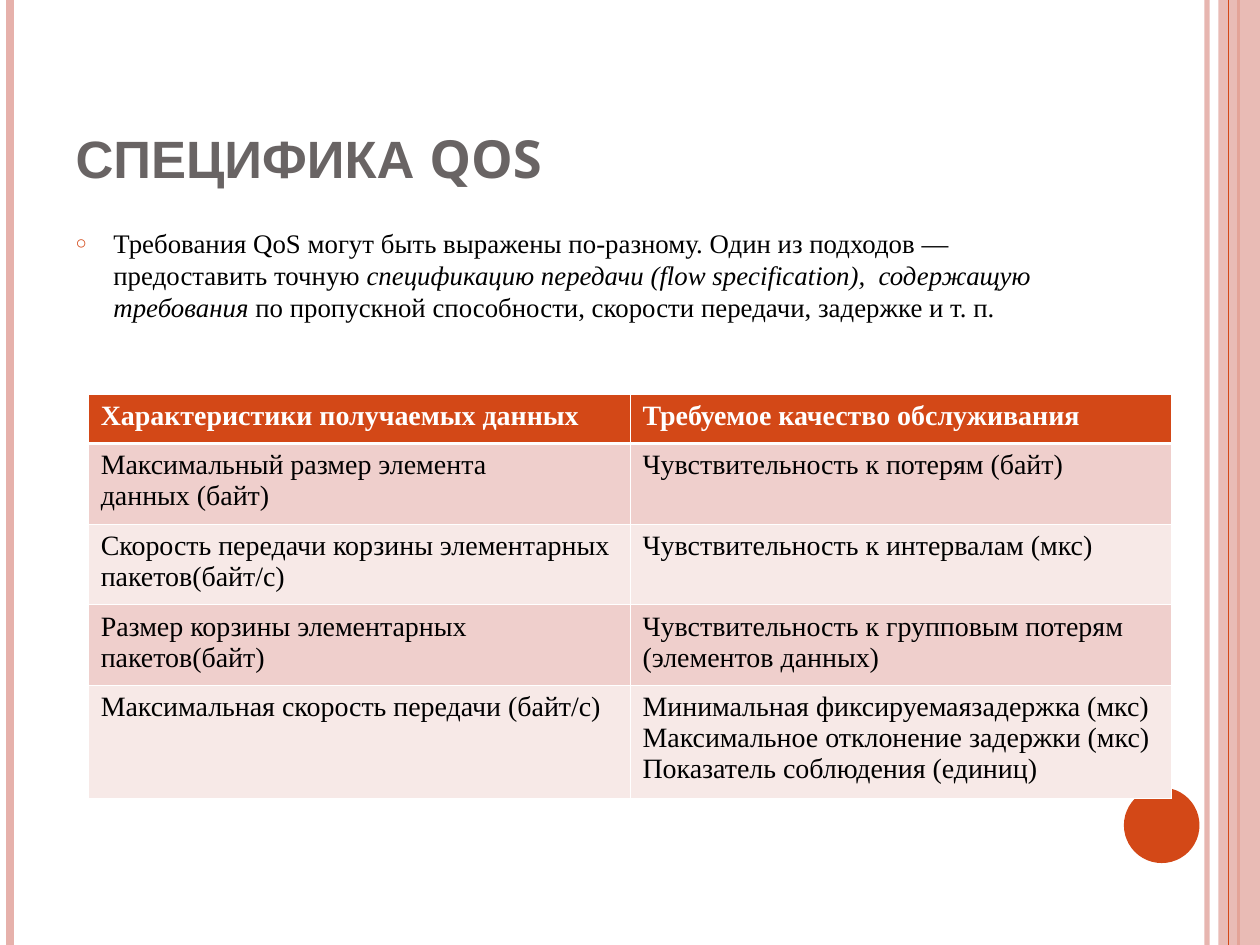
from lxml.etree import SubElement
from pptx import Presentation
from pptx.dml.color import RGBColor
from pptx.enum.shapes import MSO_CONNECTOR, MSO_SHAPE
from pptx.enum.text import MSO_ANCHOR, MSO_AUTO_SIZE, PP_ALIGN
from pptx.oxml.ns import qn
from pptx.util import Inches, Pt

HUES = {
    "accent": "D34817", "pink": "E6B1AB", "title": "696464", "text": "000000",
    "white": "FFFFFF", "band": "EFCFCC", "pale": "F7E9E7",
}
SERIF = "Times New Roman"
ROWS = [
    ("Характеристики получаемых данных", "Требуемое качество обслуживания"),
    ("Максимальный размер элемента\nданных (байт)", "Чувствительность к потерям (байт)"),
    ("Скорость передачи корзины элементарных\nпакетов(байт/с)",
     "Чувствительность к интервалам (мкс)"),
    ("Размер корзины элементарных\nпакетов(байт)",
     "Чувствительность к групповым потерям\n(элементов данных)"),
    ("Максимальная скорость передачи (байт/с)",
     "Минимальная фиксируемаязадержка (мкс)\n"
     "Максимальное отклонение задержки (мкс)\nПоказатель соблюдения (единиц)"),
]


def hue(name):
    return RGBColor.from_string(HUES[name])


def write(para, text, size=16, font=SERIF, color="text", bold=False, italic=False):
    run = para.add_run()
    run.text = text
    face = run.font
    face.size, face.name, face.bold, face.italic = Pt(size), font, bold, italic
    face.color.rgb = hue(color)


def fade(fill, part):
    tone = fill.find(".//" + qn("a:srgbClr"))
    SubElement(tone, qn("a:alpha"), val=str(part * 1000))


class Deck:
    def __init__(self):
        self.show = Presentation()
        self.show.slide_width, self.show.slide_height = Inches(10), Inches(7.5)
        self.slide = self.show.slides.add_slide(self.show.slide_layouts[1])
        self.shapes = self.slide.shapes

    def rule(self, x, color, width, part=100):
        line = self.shapes.add_connector(
            MSO_CONNECTOR.STRAIGHT, Inches(x), 0, Inches(x), Inches(7.5))
        line.line.color.rgb = hue(color)
        line.line.width = Pt(width)
        props = line._element.spPr
        SubElement(props, qn("a:effectLst"))
        if part < 100:
            fade(props, part)

    def block(self, kind, x, y, w, h, color, part=100):
        shape = self.shapes.add_shape(kind, Inches(x), Inches(y), Inches(w), Inches(h))
        shape.shadow.inherit = False
        shape.fill.solid()
        shape.fill.fore_color.rgb = hue(color)
        shape.line.fill.background()
        if part < 100:
            fade(shape._element.spPr, part)

    def place(self, holder, x, y, w, h, anchor):
        holder.left, holder.top = Inches(x), Inches(y)
        holder.width, holder.height = Inches(w), Inches(h)
        frame = holder.text_frame
        frame.word_wrap = True
        frame.auto_size = MSO_AUTO_SIZE.NONE
        frame.vertical_anchor = anchor
        para = frame.paragraphs[0]
        para.alignment = PP_ALIGN.LEFT
        return para

    def title(self, parts):
        para = self.place(self.shapes.title, 0.5, 0.3, 8.17, 1.25, MSO_ANCHOR.BOTTOM)
        for text, font in parts:
            write(para, text, size=30, font=font, color="title", bold=True)

    def body(self, parts):
        para = self.place(self.slide.placeholders[1], 0.5, 1.75, 8.17, 1.06, MSO_ANCHOR.TOP)
        para.space_before = Pt(6)
        props = para._p.get_or_add_pPr()
        props.set("marL", str(Inches(0.3)))
        props.set("indent", str(-Inches(0.3)))
        tint = SubElement(props, qn("a:buClr"))
        SubElement(tint, qn("a:srgbClr"), val=HUES["accent"])
        SubElement(props, qn("a:buSzPct"), val="70000")
        SubElement(props, qn("a:buChar"), char="○")
        for text, italic in parts:
            write(para, text, size=15.3, italic=italic)

    def edge(self, cell, side, width):
        line = SubElement(cell._tc.get_or_add_tcPr(), qn("a:" + side), w=str(Pt(width)))
        fill = SubElement(line, qn("a:solidFill"))
        SubElement(fill, qn("a:srgbClr"), val=HUES["white"])

    def table(self, rows, x, y, wide, highs):
        grid = self.shapes.add_table(
            len(rows), 2, Inches(x), Inches(y), Inches(2 * wide), Inches(sum(highs))).table
        for col in grid.columns:
            col.width = Inches(wide)
        for i, (texts, high) in enumerate(zip(rows, highs)):
            grid.rows[i].height = Inches(high)
            for j, text in enumerate(texts):
                self.cell(grid.cell(i, j), text, i)

    def cell(self, cell, text, row):
        head = row == 0
        thick = {0: "lnB", 1: "lnT"}.get(row)
        for side in ("lnL", "lnR", "lnT", "lnB"):
            self.edge(cell, side, 1.47 if side == thick else 0.45)
        cell.fill.solid()
        cell.fill.fore_color.rgb = hue("accent" if head else "band" if row % 2 else "pale")
        frame = cell.text_frame
        for k, line in enumerate(text.split("\n")):
            para = frame.add_paragraph() if k else frame.paragraphs[0]
            write(para, line, color="white" if head else "text", bold=head)


def main():
    deck = Deck()
    deck.rule(9.58, "pink", 3, part=93)
    deck.rule(0.08, "pink", 4.5)
    deck.rule(9.83, "accent", 1.5)
    deck.block(MSO_SHAPE.RECTANGLE, 9.67, 0, 0.33, 7.5, "pink", part=87)
    deck.rule(9.75, "accent", 0.75)
    deck.block(MSO_SHAPE.OVAL, 8.92, 6.25, 0.6, 0.6, "accent")
    deck.title([("СПЕЦИФИКА ", "Arial"), ("QOS", "Noto Sans")])
    deck.body([
        ("Требования QoS могут быть выражены по-разному. Один из подходов — "
         "предоставить точную ", False),
        ("спецификацию передачи (flow specification),  содержащую требования ", True),
        ("по пропускной способности, скорости передачи, задержке и т. п.", False),
    ])
    deck.table(ROWS, 0.7, 3.13, 4.3, [0.39, 0.64, 0.64, 0.64, 0.9])
    deck.show.save("out.pptx")


if __name__ == "__main__":
    main()
